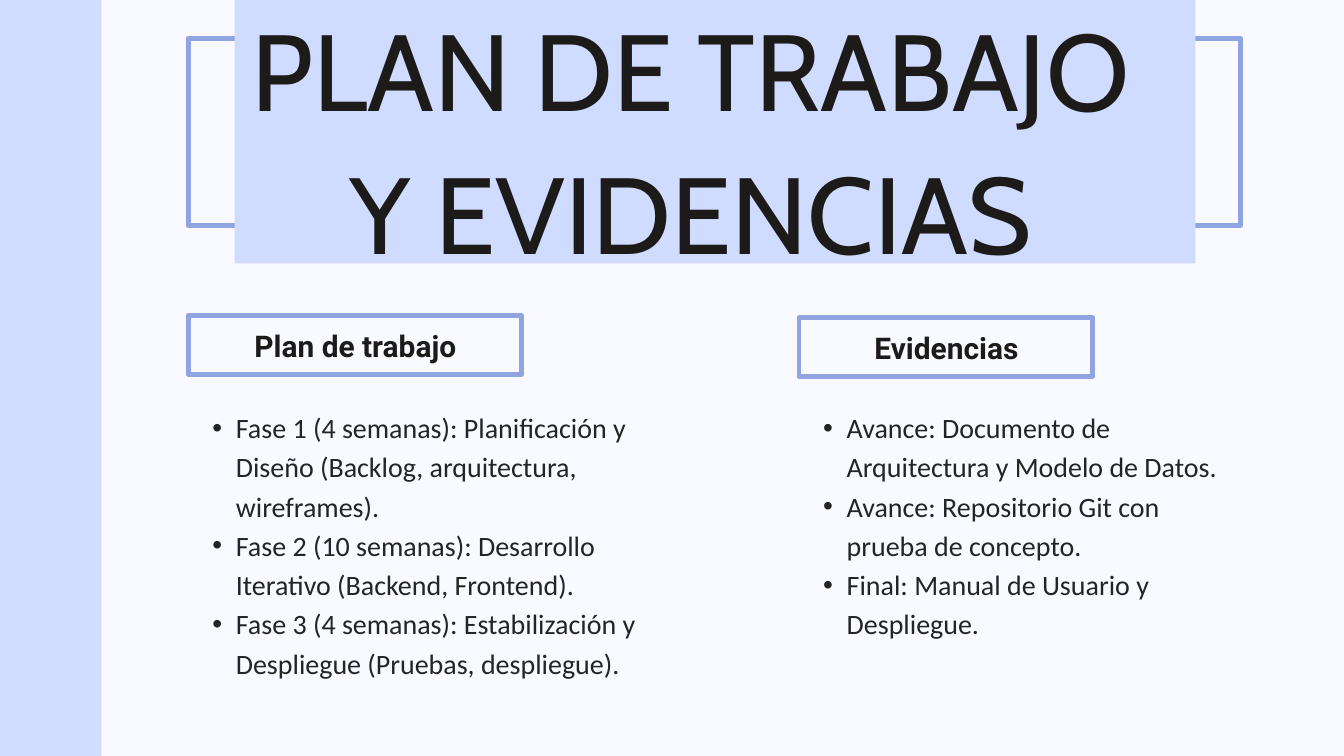
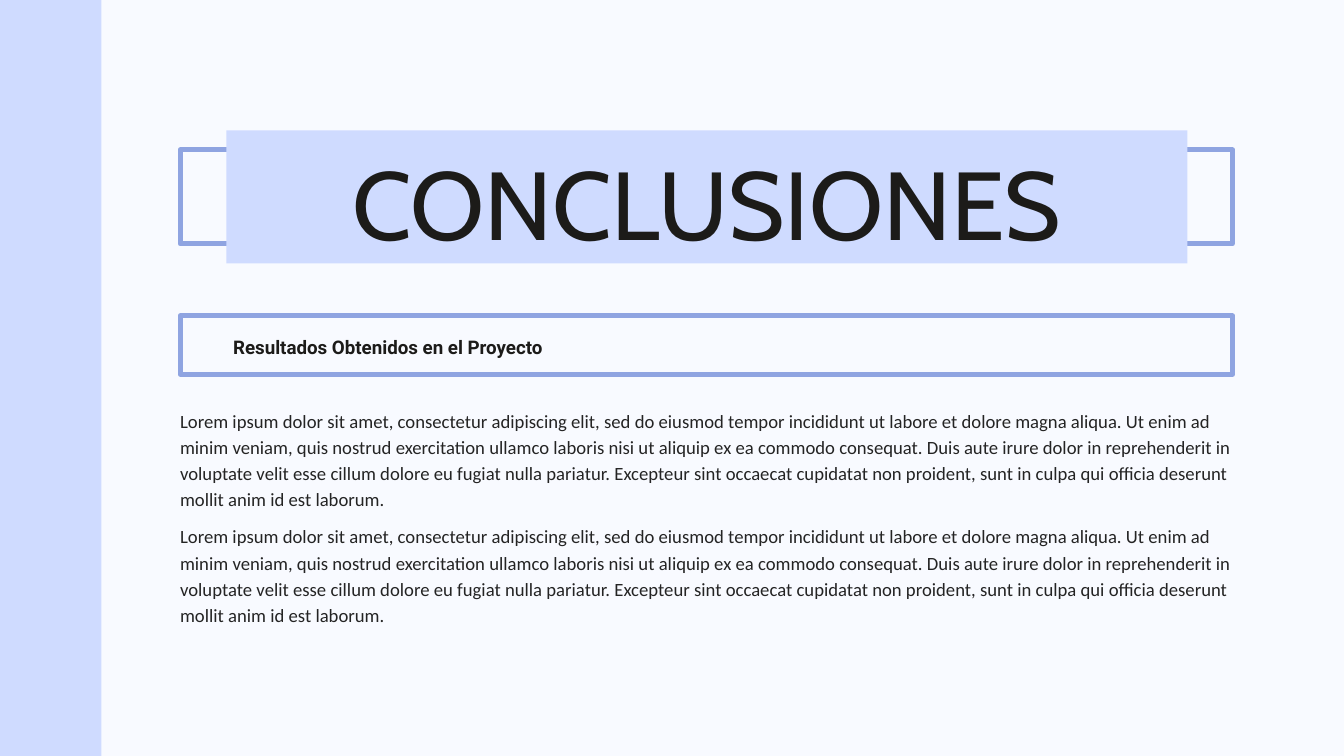
from lxml.etree import SubElement
from pptx import Presentation
from pptx.dml.color import RGBColor
from pptx.enum.shapes import MSO_SHAPE
from pptx.enum.text import PP_ALIGN
from pptx.oxml.ns import qn
from pptx.util import Inches, Pt

COLORS = {"page": "F8FAFF", "band": "CFDBFF", "frame": "8FA4E1",
          "title": "1C1B19", "body": "242424"}
# font, colour, bold
STYLES = {"title": ("Cabin", "title", False),
          "heading": ("Roboto", "title", True),
          "body": ("Calibri", "body", False)}

prs = Presentation()
prs.slide_width, prs.slide_height = Inches(20), Inches(11.25)

# Grid: 20 columns by 11.25 rows, square cells
COLS, ROWS = 20, 11.25
CELL = prs.slide_width / COLS
FRAME_W, PANEL_W, PANEL_INSET = 15.66, 14.3, 0.69
HEADING_TOP, HEADING_H, BODY_TOP = 4.7, 0.87, 6.03


def add_rect(slide, left, top, width, height, fill=None):
    """Filled panel, or an outlined frame when no fill is given."""
    sp = slide.shapes.add_shape(
        MSO_SHAPE.RECTANGLE, *(round(v * CELL) for v in (left, top, width, height)))
    sp.shadow.inherit = False
    if fill:
        sp.fill.solid()
        sp.fill.fore_color.rgb = RGBColor.from_string(COLORS[fill])
        sp.line.fill.background()
    else:
        sp.fill.background()
        sp.line.color.rgb = RGBColor.from_string(COLORS["frame"])
        sp.line.width = Pt(5.25)


def add_text(slide, left, top, width, height, lines, style, size, spacing,
             align=PP_ALIGN.LEFT, bullets=False):
    sp = slide.shapes.add_textbox(*(round(v * CELL) for v in (left, top, width, height)))
    tf = sp.text_frame
    tf.word_wrap = True
    tf.margin_left = tf.margin_right = tf.margin_top = tf.margin_bottom = 0
    tf.text = "\n".join(lines)
    font, color, bold = STYLES[style]
    for p in tf.paragraphs:
        p.alignment, p.line_spacing = align, Pt(spacing)
        r = p.runs[0]
        r.font.name, r.font.size, r.font.bold = font, Pt(size), bold
        r.font.color.rgb = RGBColor.from_string(COLORS[color])
        if bullets:
            p.level = 1
            pPr = p._p.get_or_add_pPr()
            pPr.set("marL", str(round(0.71 * CELL)))
            pPr.set("indent", str(round(-0.35 * CELL)))
            SubElement(pPr, qn("a:buFont")).set("typeface", "Arial")
            SubElement(pPr, qn("a:buChar")).set("char", "•")


# Shared parts: background, side band, title frame and title panel
# title, left, frame (top, height), panel (top, height),
# text (left, top, height), size, line spacing
titles = [
    ("PLAN DE TRABAJO Y EVIDENCIAS", 2.8, (0.57, 2.78), (0, 3.92),
     (3.13, -0.15, 4.45), 116, 153.1),
    ("CONCLUSIONES", 2.68, (2.23, 1.4), (1.94, 1.98),
     (3.37, 1.97, 2.08), 103.4, 136.5),
]
slides = []
for title, left, frame, panel, text, size, spacing in titles:
    s = prs.slides.add_slide(prs.slide_layouts[6])
    s.background.fill.solid()
    s.background.fill.fore_color.rgb = RGBColor.from_string(COLORS["page"])
    add_rect(s, 0, 0, 1.51, ROWS, "band")
    add_rect(s, left, frame[0], FRAME_W, frame[1])
    add_rect(s, left + PANEL_INSET, panel[0], PANEL_W, panel[1], "band")
    add_text(s, text[0], text[1], PANEL_W, text[2], [title], "title", size,
             spacing, PP_ALIGN.CENTER)
    slides.append(s)
plan, conclusions = slides

# Slide 1: two columns, each a framed heading over a bullet list
# heading, left, heading top, heading width, list width, list height, items
columns = [
    ("Plan de trabajo", 2.8, HEADING_TOP, 4.96, 7.48, 4, [
        "Fase 1 (4 semanas): Planificación y Diseño (Backlog, arquitectura, wireframes).",
        "Fase 2 (10 semanas): Desarrollo Iterativo (Backend, Frontend).",
        "Fase 3 (4 semanas): Estabilización y Despliegue (Pruebas, despliegue).",
    ]),
    ("Evidencias", 11.89, HEADING_TOP + 0.03, 4.37, 6.57, 3.43, [
        "Avance: Documento de Arquitectura y Modelo de Datos.",
        "Avance: Repositorio Git con prueba de concepto.",
        "Final: Manual de Usuario y Despliegue.",
    ]),
]
for heading, left, top, width, list_w, list_h, items in columns:
    add_rect(plan, left, top, width, HEADING_H)
    add_text(plan, left + 0.71, top + 0.12, width - 1.4, 0.58, [heading],
             "heading", 32, 42.2, PP_ALIGN.CENTER)
    add_text(plan, left, BODY_TOP, list_w, list_h, items, "body", 30, 42, bullets=True)

# Slide 2: framed heading over two equal paragraphs
LOREM = (
    "Lorem ipsum dolor sit amet, consectetur adipiscing elit, sed do eiusmod tempor "
    "incididunt ut labore et dolore magna aliqua. Ut enim ad minim veniam, quis nostrud "
    "exercitation ullamco laboris nisi ut aliquip ex ea commodo consequat. Duis aute "
    "irure dolor in reprehenderit in voluptate velit esse cillum dolore eu fugiat nulla "
    "pariatur. Excepteur sint occaecat cupidatat non proident, sunt in culpa qui officia "
    "deserunt mollit anim id est laborum.")
left = 2.68
add_rect(conclusions, left, HEADING_TOP, FRAME_W, HEADING_H)
add_text(conclusions, left + 0.79, HEADING_TOP + 0.26, 14.44, 0.36,
         ["Resultados Obtenidos en el Proyecto"], "heading", 20.1, 26.6)
for row in range(2):
    add_text(conclusions, left, BODY_TOP + 0.01 + 1.72 * row, FRAME_W, 1.55,
             [LOREM], "body", 20, 28)

prs.save("out.pptx")
